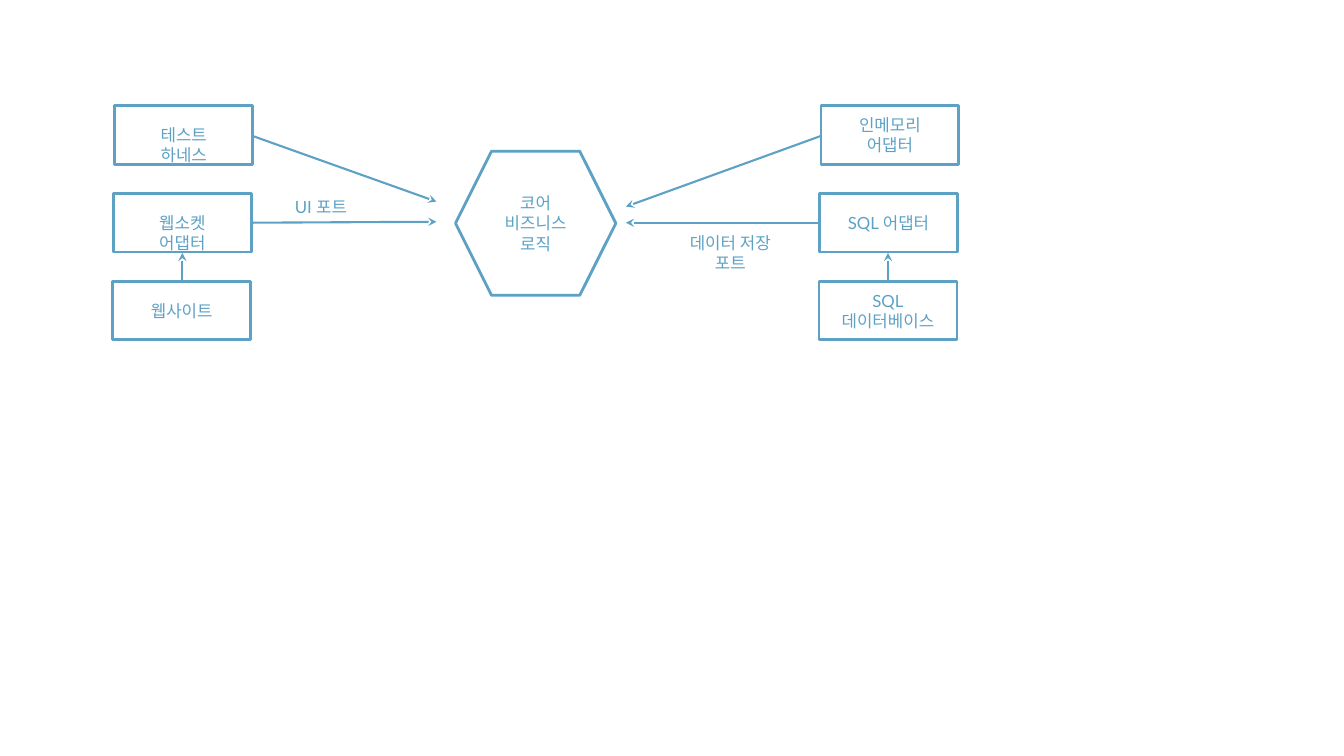
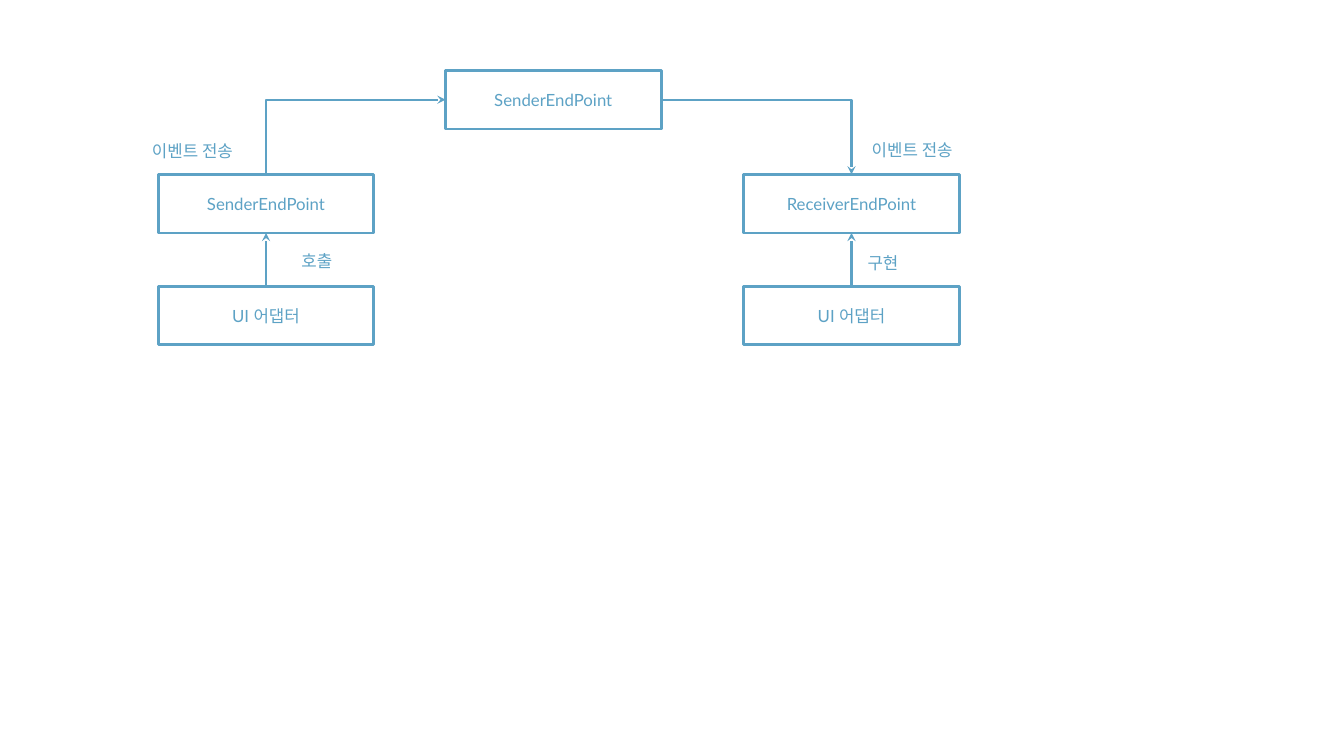
"""Build two slides of port-and-adapter diagrams."""
from typing import NamedTuple

from lxml import etree
from pptx import Presentation
from pptx.dml.color import RGBColor
from pptx.enum.shapes import MSO_CONNECTOR, MSO_SHAPE
from pptx.enum.text import MSO_ANCHOR, PP_ALIGN
from pptx.oxml.ns import qn
from pptx.util import Pt

RECT, HEXAGON = MSO_SHAPE.RECTANGLE, MSO_SHAPE.HEXAGON
STRAIGHT = MSO_CONNECTOR.STRAIGHT
TOP, MIDDLE = MSO_ANCHOR.TOP, MSO_ANCHOR.MIDDLE
CENTER = PP_ALIGN.CENTER

BLUE = RGBColor(0x5D, 0xA2, 0xC5)
FONT = "Lato"
FONT_SIZE = 12
LINE_HEIGHT = 14.4
BOX_HEIGHT = 41.8
SIDE_INSET = 15


class Box(NamedTuple):
    """A rectangle with a centred caption."""
    text: str
    x: float
    y: float
    w: float


class Label(NamedTuple):
    """Free text beside an arrow."""
    text: str
    x: float
    y: float
    w: float


class Arrow(NamedTuple):
    """An arrow from (x1, y1) to (x2, y2)."""
    x1: float
    y1: float
    x2: float
    y2: float


def write(tf, text: str, anchor) -> None:
    """Fill a text frame with centred blue text."""
    tf.text = text
    tf.word_wrap = True
    tf.vertical_anchor = anchor
    for p in tf.paragraphs:
        p.alignment = CENTER
        p.font.name = FONT
        p.font.size = Pt(FONT_SIZE)
        p.font.color.rgb = BLUE


def add_outline(slide, kind, x: float, y: float, w: float, h: float):
    """Add an unfilled shape with a blue outline."""
    sp = slide.shapes.add_shape(kind, Pt(x), Pt(y), Pt(w), Pt(h))
    sp.shadow.inherit = False
    sp.fill.background()
    sp.line.color.rgb = BLUE
    sp.line.width = Pt(2)
    return sp


def add_box(slide, box: Box) -> None:
    """Draw a box whose written lines start at a centred height."""
    tf = add_outline(slide, RECT, box.x, box.y, box.w, BOX_HEIGHT).text_frame
    lines = box.text.count("\n") + 1
    tf.margin_left = tf.margin_right = Pt(SIDE_INSET)
    tf.margin_top = Pt((BOX_HEIGHT - lines * LINE_HEIGHT) / 2)
    tf.margin_bottom = 0
    write(tf, box.text, TOP)


def add_hexagon(slide, text: str, x: float, y: float, w: float, h: float) -> None:
    """Draw the core hexagon."""
    tf = add_outline(slide, HEXAGON, x, y, w, h).text_frame
    tf.margin_left = tf.margin_right = tf.margin_top = tf.margin_bottom = 0
    write(tf, text, MIDDLE)


def add_label(slide, label: Label) -> None:
    """Add a caption without an outline."""
    sp = slide.shapes.add_textbox(Pt(label.x), Pt(label.y), Pt(label.w), Pt(21.6))
    write(sp.text_frame, label.text, TOP)


def add_arrow(slide, arrow: Arrow):
    """Draw a straight arrow with a stealth tip."""
    cxn = slide.shapes.add_connector(STRAIGHT, *map(Pt, arrow))
    cxn.line.color.rgb = BLUE
    cxn.line.width = Pt(1.5)
    etree.SubElement(cxn.line._get_or_add_ln(), qn("a:tailEnd"), type="stealth")
    etree.SubElement(cxn._element.spPr, qn("a:effectLst"))
    return cxn


def add_elbow(slide, arrow: Arrow, up_first: bool) -> None:
    """Draw an arrow with one right-angled bend."""
    x1, y1, x2, y2 = arrow
    if up_first:
        cx, cy = (x1 + x2) / 2, (y1 + y2) / 2
        dx, dy = abs(y2 - y1) / 2, abs(x2 - x1) / 2
        arrow = Arrow(cx + dx, cy + dy, cx - dx, cy - dy)
    spPr = add_arrow(slide, arrow)._element.spPr
    spPr.find(qn("a:prstGeom")).set("prst", "bentConnector2")
    if up_first:
        spPr.find(qn("a:xfrm")).set("rot", "5400000")


def add_diagram(prs, boxes: list[Box], arrows: list[Arrow], labels: list[Label]):
    """Add a slide holding boxes, straight arrows and labels."""
    slide = prs.slides.add_slide(prs.slide_layouts[6])
    for box in boxes:
        add_box(slide, box)
    for arrow in arrows:
        add_arrow(slide, arrow)
    for label in labels:
        add_label(slide, label)
    return slide


def build_ports(prs) -> None:
    """Build the slide of ports around the business core."""
    columns = (
        (80.6, ("테스트 하네스", "웹소켓 어댑터", "웹사이트")),
        (585, ("인메모리\n어댑터", "SQL 어댑터", "SQL\n데이터베이스")),
    )
    shifts = (1.4, 0.4, 0)
    boxes = [
        Box(text, x + shift, 75.6 + row * 62.65, 98.6)
        for x, texts in columns
        for row, (text, shift) in enumerate(zip(texts, shifts))
    ]
    arrows = [
        Arrow(180.7, 97.2, 311.8, 144),
        Arrow(179.3, 159.1, 311.8, 158.4),
        Arrow(130.3, 200.9, 130.3, 180.7),
        Arrow(634.3, 200.9, 634.3, 180.7),
        Arrow(586.1, 97.2, 447.1, 147.6),
        Arrow(585.4, 159.1, 447.1, 159.1),
    ]
    labels = [
        Label("UI 포트", 187.9, 136.8, 82.8),
        Label("데이터 저장 포트", 474.5, 162.7, 94.3),
    ]
    slide = add_diagram(prs, boxes, arrows, labels)
    add_hexagon(slide, "코어\n비즈니스\n로직", 325.4, 108, 114.5, 103)


def build_endpoints(prs) -> None:
    """Build the slide of event flow between endpoints."""
    width, left, middle, right = 154.1, 113, 318.2, 531.2
    top, upper, lower = 50.4, 124.6, 204.5
    left_mid, right_mid = left + width / 2, right + width / 2
    flow_y = top + BOX_HEIGHT / 2
    boxes = [
        Box("SenderEndPoint", left, upper, width),
        Box("UI 어댑터", left, lower, width),
        Box("SenderEndPoint", middle, top, width),
        Box("ReceiverEndPoint", right, upper, width),
        Box("UI 어댑터", right, lower, width),
    ]
    arrows = [
        Arrow(x, lower, x, upper + BOX_HEIGHT) for x in (left_mid, right_mid)
    ]
    labels = [
        Label("호출", 198.7, 175.7, 55.4),
        Label("이벤트 전송", 93.6, 97.2, 87.8),
        Label("구현", 599, 177.1, 63.4),
        Label("이벤트 전송", 607.7, 96.5, 87.8),
    ]
    slide = add_diagram(prs, boxes, arrows, labels)
    add_elbow(slide, Arrow(left_mid, upper, middle, flow_y), True)
    add_elbow(slide, Arrow(middle + width, flow_y, right_mid, upper), False)


def main() -> None:
    """Build and save the presentation."""
    prs = Presentation()
    prs.slide_width, prs.slide_height = Pt(960), Pt(540)
    build_ports(prs)
    build_endpoints(prs)
    prs.save("out.pptx")


main()
